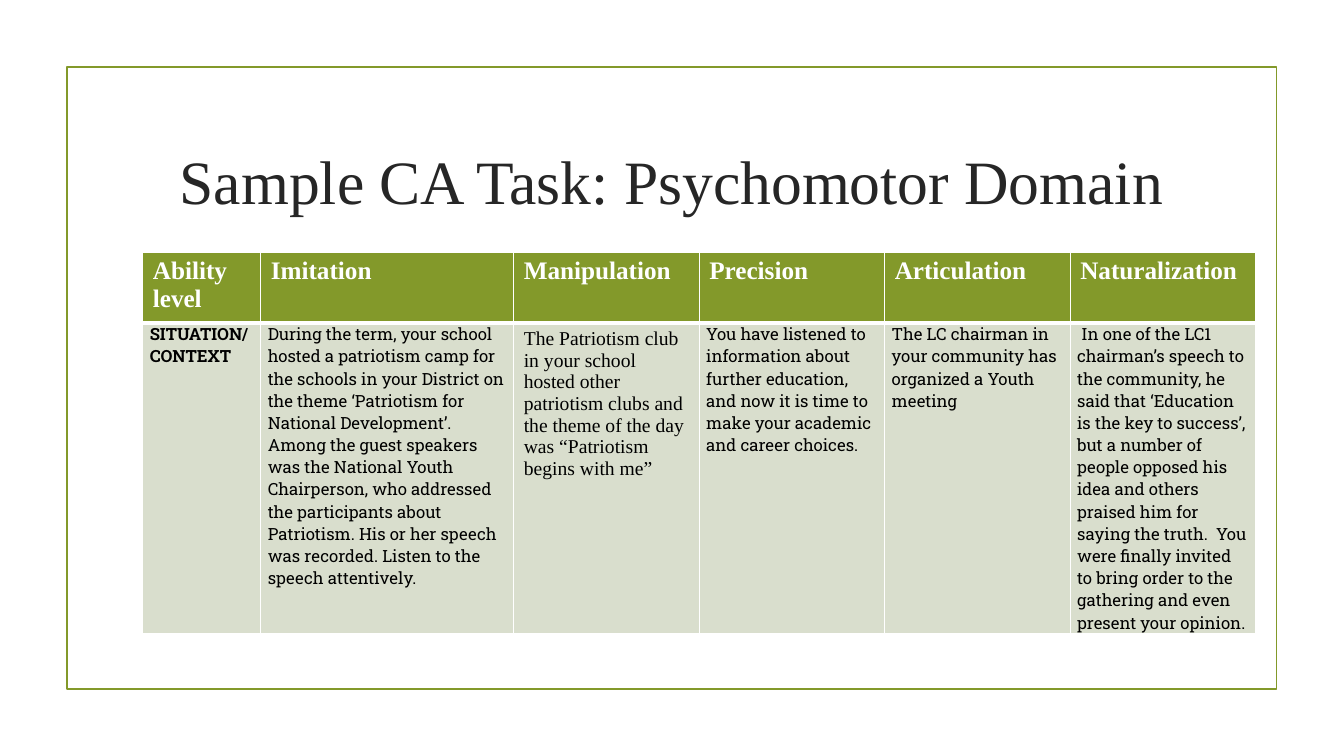
from dataclasses import dataclass
from lxml.etree import SubElement as Sub
from pptx import Presentation
from pptx.dml.color import RGBColor as Rgb
from pptx.enum.shapes import MSO_SHAPE as Shape
from pptx.enum.text import MSO_ANCHOR as Anchor, PP_ALIGN as Align
from pptx.oxml.ns import qn
from pptx.util import Pt


@dataclass(frozen=True)
class Theme:
    serif: str = "Times New Roman"
    slab: str = "Roboto Slab"
    green: str = "83992A"
    pale: str = "D9DECD"
    white: str = "FFFFFF"
    black: str = "000000"
    ink: str = "262626"
    title: int = 44
    head: int = 18
    body: int = 12
    large: int = 14
    thin: float = 1
    thick: float = 3
    frame: float = 1.25


class Deck:
    def __init__(self, theme, wide, high):
        self.theme = theme
        self.file = Presentation()
        self.file.slide_width, self.file.slide_height = Pt(wide), Pt(high)
        self.slide = self.file.slides.add_slide(self.file.slide_layouts[6])

    def label(self, frame, text, size, face, color, bold=False):
        frame.word_wrap = True
        para = frame.paragraphs[0]
        para.text = text
        font = para.font
        font.size, font.name, font.bold = Pt(size), face, bold
        font.color.rgb = Rgb.from_string(color)
        return para

    def frame(self, *box):
        rect = self.slide.shapes.add_shape(Shape.RECTANGLE, *map(Pt, box))
        rect.shadow.inherit = False
        rect.fill.background()
        rect.line.color.rgb = Rgb.from_string(self.theme.green)
        rect.line.width = Pt(self.theme.frame)

    def title(self, text, *box):
        look = self.theme
        frame = self.slide.shapes.add_textbox(*map(Pt, box)).text_frame
        para = self.label(frame, text, look.title, look.serif, look.ink)
        para.alignment = Align.CENTER
        frame.vertical_anchor = Anchor.MIDDLE

    def edge(self, cell, **widths):
        props = cell._tc.get_or_add_tcPr()
        for side in "LRTB":
            width = widths.get(side, self.theme.thin)
            line = Sub(props, qn(f"a:ln{side}"), w=str(Pt(width)))
            fill = Sub(line, qn("a:solidFill"))
            Sub(fill, qn("a:srgbClr"), val=self.theme.white)

    def paint(self, cell, color):
        cell.fill.solid()
        cell.fill.fore_color.rgb = Rgb.from_string(color)

    def table(self, left, top, widths, heights, cols):
        look = self.theme
        box = map(Pt, (left, top, sum(widths), sum(heights)))
        grid = self.slide.shapes.add_table(2, len(cols), *box).table
        grid.horz_banding = False
        for row, high in zip(grid.rows, heights):
            row.height = Pt(high)
        for i, (name, text, serif) in enumerate(cols):
            grid.columns[i].width = Pt(widths[i])
            head, body = grid.cell(0, i), grid.cell(1, i)
            self.edge(head, B=look.thick)
            self.edge(body, T=look.thick)
            self.paint(head, look.green)
            self.paint(body, look.pale)
            self.label(head.text_frame, name, look.head, look.serif, look.white, True)
            size, face = (look.large, look.serif) if serif else (look.body, look.slab)
            self.label(body.text_frame, text, size, face, look.black, i == 0)
            if not serif:
                body.margin_left = body.margin_right = Pt(5)
                body.margin_top = body.margin_bottom = Pt(0)


COLS = [
    ("Ability level", "SITUATION/ CONTEXT", False),
    ("Imitation", "During the term, your school hosted a patriotism camp for the "
     "schools in your District on the theme ‘Patriotism for National Development’. "
     "Among the guest speakers was the National Youth Chairperson, who addressed the "
     "participants about Patriotism. His or her speech was recorded. Listen to the "
     "speech attentively.", False),
    ("Manipulation", "The Patriotism club in your school hosted other patriotism clubs "
     "and the theme of the day was “Patriotism begins with me”", True),
    ("Precision", "You have listened to information about further education, and now "
     "it is time to make your academic and career choices.", False),
    ("Articulation", "The LC chairman in your community has organized a Youth meeting",
     False),
    ("Naturalization", " In one of the LC1 chairman’s speech to the community, he said "
     "that ‘Education is the key to success’, but a number of people opposed his idea "
     "and others praised him for saying the truth.  You were finally invited to bring "
     "order to the gathering and even present your opinion.", False),
]


def main():
    deck = Deck(Theme(), 960, 540)
    deck.frame(47.8, 48, 864, 444)
    deck.title("Sample CA Task: Psychomotor Domain", 102, 77, 756, 103)
    deck.table(102, 180.3, [84.3, 180.7] + [132.5] * 4, [46.5, 222], COLS)
    deck.file.save("out.pptx")


if __name__ == "__main__":
    main()
